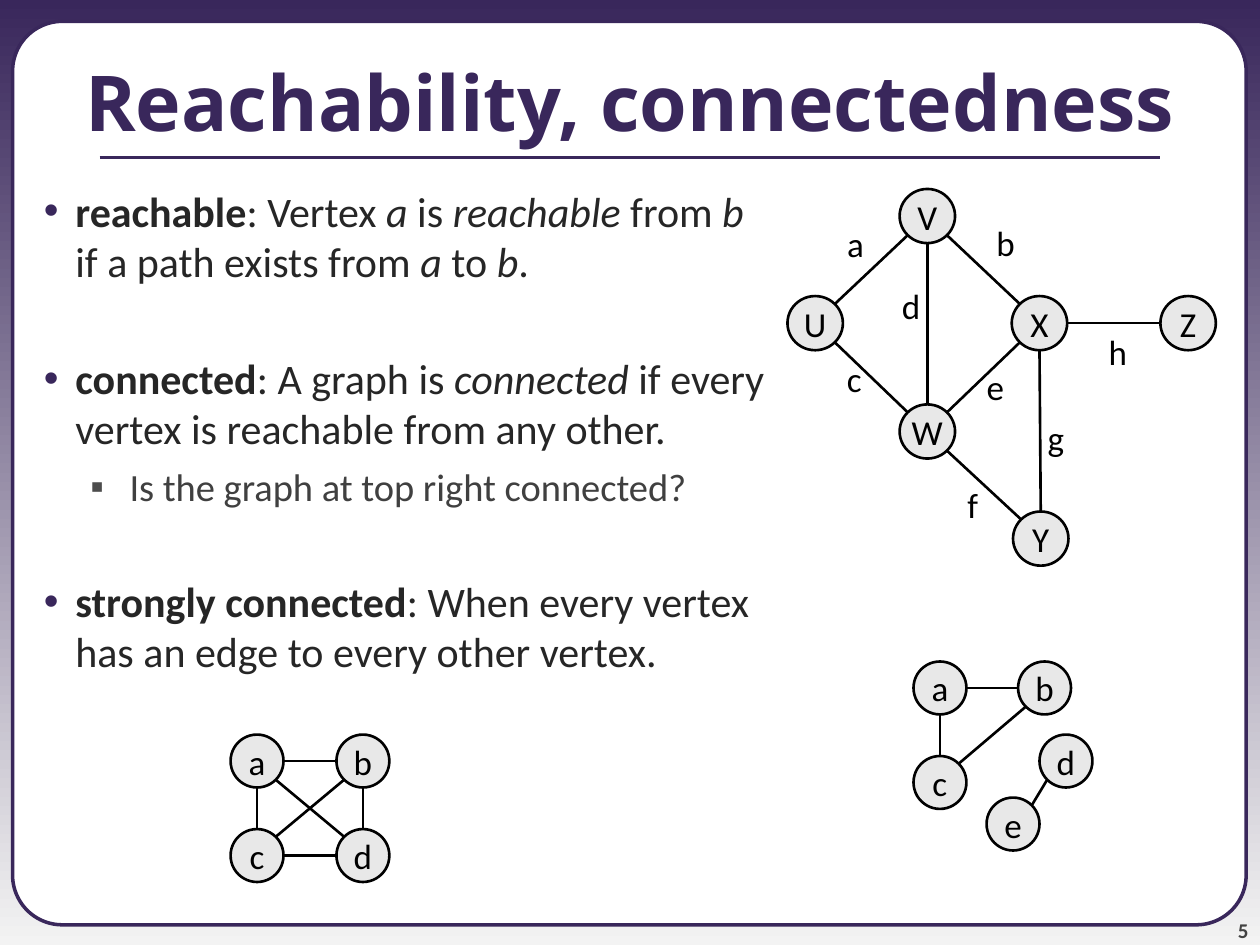
"""Build a slide on reachable and connected graphs, with three drawn graphs."""
import pptx
import pptx.dml.color
import pptx.enum.shapes
import pptx.enum.text
import pptx.oxml
import pptx.oxml.ns
import pptx.util

Inches = pptx.util.Inches
Pt = pptx.util.Pt
ALIGN = pptx.enum.text.PP_ALIGN
ANCHOR = pptx.enum.text.MSO_ANCHOR
SHAPE = pptx.enum.shapes.MSO_SHAPE

COLORS = {"plum": "39275B", "mist": "F3F3F3", "white": "FFFFFF", "ink": "262626",
          "gray": "404040", "mark": "4D4D4D", "page": "424242",
          "node": "E8E8E8", "black": "000000"}

TITLE = "Reachability, connectedness"
PAGE = "5"

LEVELS = [
    {"left": 0.5, "hang": -0.25, "mark": "•", "tint": "plum", "size": 24, "color": "ink"},
    {"left": 0.93, "hang": -0.31, "mark": "▪", "tint": "mark", "size": 22, "color": "gray"},
]

POINTS = [
    (0, 0, [("reachable", "b"), (": Vertex ", ""), ("a", "i"), (" is ", ""),
            ("reachable ", "i"), ("from ", ""), ("b", "i"), ("\n", ""),
            ("if a path exists from ", ""), ("a", "i"), (" to ", ""), ("b", "i"), (".", "")]),
    (0, 38, [("connected", "b"), (": A graph is ", ""), ("connected", "i"),
             (" if every", ""), ("\n", ""), ("vertex is reachable from any other.", "")]),
    (1, 5.5, [("Is the graph at top right connected?", "")]),
    (0, 38, [("strongly connected", "b"), (": When every vertex", ""), ("\n", ""),
             ("has an edge to every other vertex.", "")]),
]

GRAPHS = [
    {"group": True, "size": (0.44, 0.43),
     "nodes": {"X": (8.03, 2.35), "U": (6.25, 2.35), "V": (7.14, 1.5),
               "W": (7.14, 3.21), "Z": (9.21, 2.35), "Y": (8.04, 4.06)},
     "edges": ["VU", "WU", "WX", "XZ", "VX", "VW", "WY", "XY"],
     "labels": {"a": (6.79, 1.72), "c": (6.78, 2.79), "b": (7.98, 1.71), "e": (7.9, 2.85),
                "d": (7.23, 2.21), "f": (7.72, 3.79), "g": (8.38, 3.26), "h": (8.87, 2.57)}},
    {"group": False, "size": (0.42, 0.42),
     "nodes": {"a": (1.83, 5.83), "c": (1.83, 6.58), "b": (2.67, 5.83), "d": (2.67, 6.58)},
     "edges": ["ac", "cd", "db", "cb", "ad", "ab"], "labels": {}},
    {"group": True, "size": (0.42, 0.42),
     "nodes": {"a": (7.25, 5.25), "c": (7.25, 6), "b": (8.08, 5.25),
               "d": (8.25, 5.83), "e": (7.83, 6.33)},
     "edges": ["ac", "ed", "cb", "ab"], "labels": {}},
]


def rgb(name):
    return pptx.dml.color.RGBColor.from_string(COLORS[name])


def write(para, text, size=20, color="black", font="Calibri", bold=False, italic=False):
    run = para.add_run()
    run.text = text
    run.font.size = Pt(size)
    run.font.name = font
    run.font.bold = bold
    run.font.italic = italic
    run.font.color.rgb = rgb(color)


def frame(shape, anchor=ANCHOR.TOP, wrap=True, inset=(0.1, 0.05), align=ALIGN.CENTER):
    body = shape.text_frame
    body.word_wrap = wrap
    body.vertical_anchor = anchor
    body.margin_left = body.margin_right = Inches(inset[0])
    body.margin_top = body.margin_bottom = Inches(inset[1])
    para = body.paragraphs[0]
    para.alignment = align
    return para


def add_box(shapes, left, top, width, height, **style):
    box = shapes.add_textbox(Inches(left), Inches(top), Inches(width), Inches(height))
    return frame(box, **style)


def add_form(shapes, kind, left, top, width, height, fill, line, weight):
    form = shapes.add_shape(kind, Inches(left), Inches(top), Inches(width), Inches(height))
    form.shadow.inherit = False
    form.fill.solid()
    form.fill.fore_color.rgb = rgb(fill)
    form.line.color.rgb = rgb(line)
    form.line.width = Pt(weight)
    return form


def add_line(shapes, start, end, color="black", weight=1.5):
    kind = pptx.enum.shapes.MSO_CONNECTOR.STRAIGHT
    line = shapes.add_connector(kind, *[Inches(v) for v in start + end])
    line.line.color.rgb = rgb(color)
    line.line.width = Pt(weight)
    props = line._element.spPr
    props.append(props.makeelement(pptx.oxml.ns.qn("a:effectLst"), {}))


def add_mark(para, level):
    props = para._p.get_or_add_pPr()
    props.set("marL", str(Inches(level["left"])))
    props.set("indent", str(Inches(level["hang"])))
    space = pptx.oxml.ns.nsdecls("a")
    for xml in (f'<a:buClr {space}><a:srgbClr val="{COLORS[level["tint"]]}"/></a:buClr>',
                f'<a:buFont {space} typeface="Arial"/>',
                f'<a:buChar {space} char="{level["mark"]}"/>'):
        props.append(pptx.oxml.parse_xml(xml))


def edge_ends(first, last, size):
    """Return the rim points where an edge leaves one node and meets the next."""
    steps = [(b > a + 0.05) - (b < a - 0.05) for a, b in zip(first, last)]
    reach = 0.71 if all(steps) else 1
    start = tuple(a + s / 2 * (1 + k * reach) for a, s, k in zip(first, size, steps))
    end = tuple(b + s / 2 * (1 - k * reach) for b, s, k in zip(last, size, steps))
    return start, end


def add_graph(slide, graph):
    shapes = slide.shapes.add_group_shape().shapes if graph["group"] else slide.shapes
    nodes, size = graph["nodes"], graph["size"]
    for name, place in nodes.items():
        node = add_form(shapes, SHAPE.OVAL, *place, *size, "node", "black", 1.5)
        write(frame(node, anchor=ANCHOR.MIDDLE, wrap=False), name)
    for first, last in graph["edges"]:
        add_line(shapes, *edge_ends(nodes[first], nodes[last], size))
    for name, (mid, top) in graph["labels"].items():
        write(add_box(shapes, mid - 0.17, top, 0.34, 0.44, wrap=False), name)


def add_points(shapes):
    para = add_box(shapes, 0, 1.42, 10, 6.08, align=ALIGN.LEFT)
    body = para._parent
    for index, (depth, gap, runs) in enumerate(POINTS):
        if index:
            para = body.add_paragraph()
            para.space_before = Pt(gap)
        level = LEVELS[depth]
        para.level = depth
        add_mark(para, level)
        for text, style in runs:
            if text == "\n":
                para.add_line_break()
            else:
                write(para, text, size=level["size"], color=level["color"],
                      bold=style == "b", italic=style == "i")


def main():
    deck = pptx.Presentation()
    deck.slide_width, deck.slide_height = Inches(10), Inches(7.5)
    slide = deck.slides.add_slide(deck.slide_layouts[6])
    shapes = slide.shapes
    back = slide.background.fill
    back.gradient()
    back.gradient_angle = 270
    for stop, name, place in zip(back.gradient_stops, ("plum", "mist"), (0, 1)):
        stop.color.rgb = rgb(name)
        stop.position = place
    panel = add_form(shapes, SHAPE.ROUNDED_RECTANGLE, 0.1, 0.17, 9.79, 7.17,
                     "white", "plum", 2)
    panel.adjustments[0] = 0.055
    page = add_box(shapes, 9.08, 7.08, 0.83, 0.4, anchor=ANCHOR.BOTTOM,
                   inset=(0, 0), align=ALIGN.RIGHT)
    write(page, PAGE, size=12, color="page", bold=True)
    add_line(shapes, (0.79, 1.25), (9.21, 1.25), color="plum", weight=2.25)
    title = add_box(shapes, 0, 0.17, 10, 1.25, anchor=ANCHOR.MIDDLE)
    write(title, TITLE, size=44, color="plum", font="Noto Sans", bold=True)
    add_points(shapes)
    for graph in GRAPHS:
        add_graph(slide, graph)
    deck.save("out.pptx")


if __name__ == "__main__":
    main()
